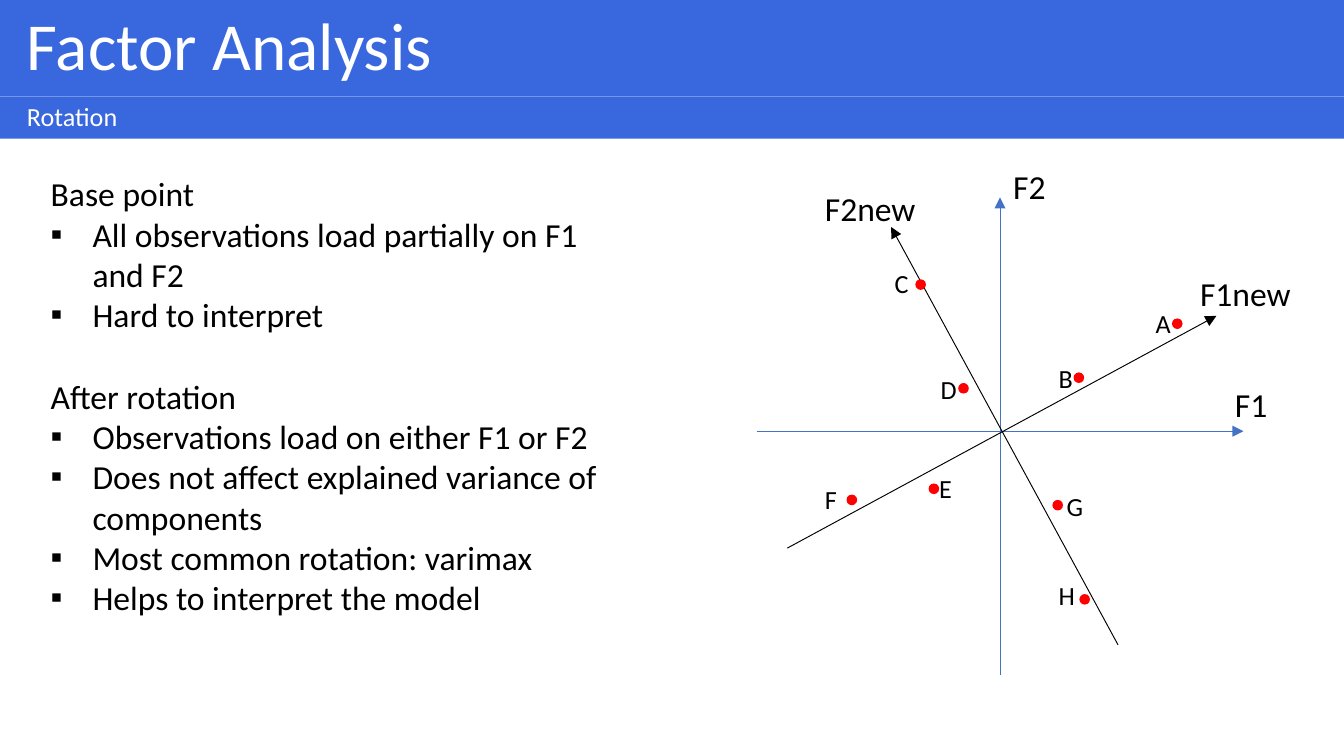
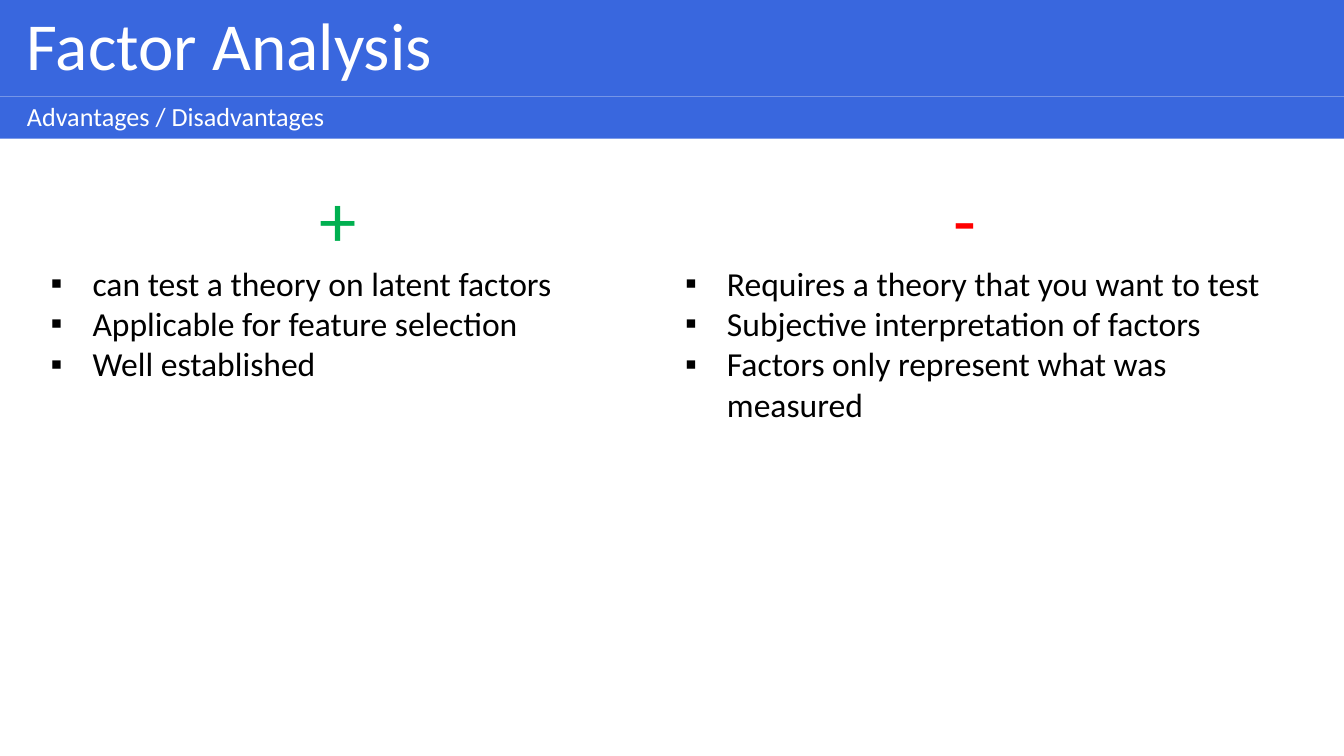
from lxml import etree
from pptx import Presentation
from pptx.dml.color import RGBColor
from pptx.enum import shapes, text
from pptx.oxml import ns
from pptx.util import Cm, Pt

COLORS = {
    "band": "3967DE",
    "white": "FFFFFF",
    "black": "000000",
    "axis": "4472C4",
    "dot": "FF0000",
    "plus": "00B050",
    "minus": "FF0000",
}
FONT = "Calibri"
HANG = 0.79
DOT = 0.2


def add_box(page, left, top, width, height, fill=None, wrap=True):
    """Add a text box, or a filled band with middle-anchored text."""
    place = Cm(left), Cm(top), Cm(width), Cm(height)
    if fill is None:
        box = page.shapes.add_textbox(*place)
    else:
        box = page.shapes.add_shape(shapes.MSO_SHAPE.RECTANGLE, *place)
        box.shadow.inherit = False
        box.fill.solid()
        box.fill.fore_color.rgb = RGBColor.from_string(COLORS[fill])
        box.line.fill.background()
        box.text_frame.vertical_anchor = text.MSO_ANCHOR.MIDDLE
        box.text_frame.margin_left = Cm(0.51)
    box.text_frame.word_wrap = wrap
    return box


def write(box, words, size=18, color="black", bullet=False, indent=0, before=0, spacing=None):
    """Put words in the first paragraph if it is free, else in a new one."""
    frame = box.text_frame
    para = frame.paragraphs[0] if not frame.text else frame.add_paragraph()
    para.alignment = text.PP_ALIGN.LEFT
    para.space_before = Pt(before)
    if spacing:
        para.line_spacing = spacing
    props = para._p.get_or_add_pPr()
    if bullet:
        props.set("marL", str(Cm(HANG)))
        props.set("indent", str(-Cm(HANG)))
        etree.SubElement(props, ns.qn("a:buFont")).set("typeface", "Arial")
        etree.SubElement(props, ns.qn("a:buChar")).set("char", "▪")
    elif indent:
        props.set("marL", str(Cm(indent)))
    span = para.add_run()
    span.text = words
    span.font.name = FONT
    span.font.size = Pt(size)
    span.font.color.rgb = RGBColor.from_string(COLORS[color])


deck = Presentation()
deck.slide_width, deck.slide_height = Cm(25.4), Cm(14.29)

# Both slides carry the same two-part title band
pages = []
for subtitle in ("Rotation", "Advantages / Disadvantages"):
    page = deck.slides.add_slide(deck.slide_layouts[6])
    for words, top, height, size in (("Factor Analysis", 0, 1.83, 36), (subtitle, 1.83, 0.79, 14)):
        band = add_box(page, 0, top, 25.4, height, fill="band")
        write(band, words, size=size, color="white", before=10, spacing=0.9)
    pages.append(page)
rotation, verdict = pages

# Rotation: explanation on the left
explanation = add_box(rotation, 0.71, 3.15, 11.53, 9.5)
sections = {
    "Base point": [
        "All observations load partially on F1 and F2",
        "Hard to interpret",
    ],
    "After rotation": [
        "Observations load on either F1 or F2",
        "Does not affect explained variance of components",
        "Most common rotation: varimax",
        "Helps to interpret the model",
    ],
}
for number, (heading, items) in enumerate(sections.items()):
    write(explanation, heading, before=22 * number)
    for item in items:
        write(explanation, item, bullet=True)

# Rotation: old and new axes as name, colour, start, end, label corner, label width
axes = [
    ("F2", "axis", (18.9, 12.75), (18.9, 3.73), (18.9, 3.02), 1.14),
    ("F1", "axis", (14.3, 8.15), (23.5, 8.15), (23.09, 7.14), 1.14),
    ("F2new", "black", (21.13, 12.19), (16.84, 4.29), (15.34, 3.43), 2.24),
    ("F1new", "black", (14.88, 10.36), (22.99, 5.97), (22.43, 5.03), 2.24),
]
for name, color, start, end, corner, width in axes:
    axis = rotation.shapes.add_connector(
        shapes.MSO_CONNECTOR.STRAIGHT, *[Cm(value) for value in start + end])
    axis.line.color.rgb = RGBColor.from_string(COLORS[color])
    axis.line.width = Pt(0.5)
    etree.SubElement(axis.line._get_or_add_ln(), ns.qn("a:tailEnd")).set("type", "triangle")
    etree.SubElement(axis._element.spPr, ns.qn("a:effectLst"))
    write(add_box(rotation, *corner, width, 1.02, wrap=False), name)

# Rotation: observations as name, dot corner, label corner
observations = [
    ("A", (22.15, 6.02), (21.59, 5.69)),
    ("B", (20.29, 7.04), (19.76, 6.73)),
    ("C", (17.3, 5.28), (16.66, 4.93)),
    ("D", (18.11, 7.24), (17.53, 6.93)),
    ("E", (17.55, 9.14), (17.5, 8.81)),
    ("F", (16, 9.35), (15.34, 9.02)),
    ("G", (19.89, 9.45), (19.91, 9.14)),
    ("H", (20.4, 11.23), (19.76, 10.82)),
]
for name, (left, top), corner in observations:
    dot = rotation.shapes.add_shape(
        shapes.MSO_SHAPE.OVAL, Cm(left), Cm(top), Cm(DOT), Cm(DOT))
    dot.shadow.inherit = False
    dot.fill.solid()
    dot.fill.fore_color.rgb = RGBColor.from_string(COLORS["dot"])
    dot.line.fill.background()
    write(add_box(rotation, *corner, 0.8, 0.86, wrap=False), name, size=14)

# Advantages and disadvantages side by side
columns = [
    (0.71, "+", "plus", [
        "can test a theory on latent factors",
        "Applicable for feature selection",
        "Well established",
    ]),
    (12.7, "-", "minus", [
        "Requires a theory that you want to test",
        "Subjective interpretation of factors",
        "Factors only represent what was measured",
    ]),
]
for left, sign, color, items in columns:
    column = add_box(verdict, left, 3.15, 11.4, 5.82)
    write(column, sign, size=40, color=color, indent=5.08)
    for item in items:
        write(column, item, bullet=True)

deck.save("out.pptx")
